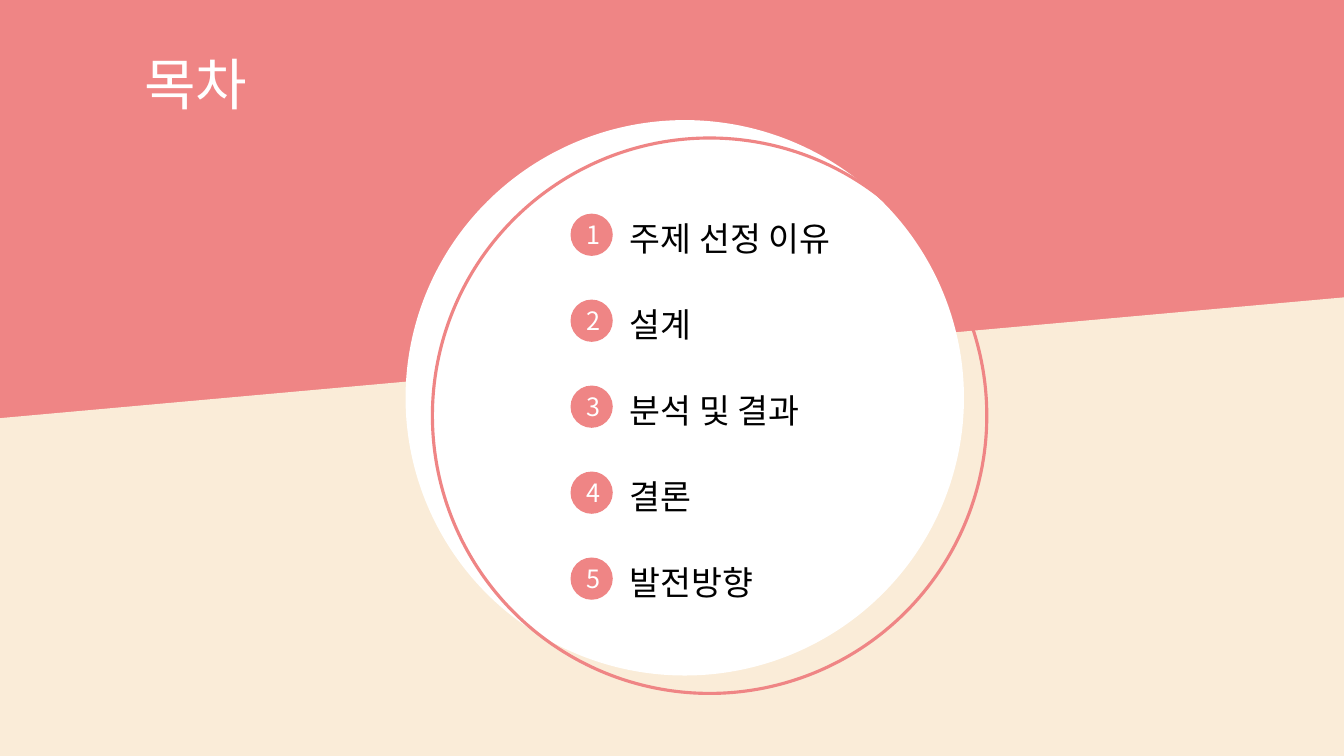
"""Build a contents slide with a numbered list inside a circle."""
import lxml.etree
import pptx
import pptx.dml.color
import pptx.enum.shapes
import pptx.enum.text
import pptx.oxml.ns
import pptx.util

Pt = pptx.util.Pt
RGBColor = pptx.dml.color.RGBColor
Align = pptx.enum.text.PP_ALIGN
Anchor = pptx.enum.text.MSO_ANCHOR
Fit = pptx.enum.text.MSO_AUTO_SIZE

CORAL = RGBColor(0xEF, 0x85, 0x85)
CREAM = RGBColor(0xFA, 0xEC, 0xD8)
WHITE = RGBColor(0xFF, 0xFF, 0xFF)
BLACK = RGBColor(0, 0, 0)
FONT = "Noto Sans CJK KR"
TOPICS = ["주제 선정 이유", "설계", "분석 및 결과", "결론", "발전방향"]
FIRST = 152.6
STEP = 61.4


def write(shape, text, size=24, color=BLACK, align=Align.LEFT,
          anchor=Anchor.TOP, pad=3.6, fit=Fit.SHAPE_TO_FIT_TEXT):
    """Put one formatted line of text in a shape."""
    frame = shape.text_frame
    frame.word_wrap = True
    frame.auto_size = fit
    frame.vertical_anchor = anchor
    frame.margin_left = frame.margin_right = Pt(7.2)
    frame.margin_top = frame.margin_bottom = Pt(pad)
    line = frame.paragraphs[0]
    line.alignment = align
    run = line.add_run()
    run.text = text
    run.font.size = Pt(size)
    run.font.color.rgb = color
    run.font.name = FONT
    props = run._r.get_or_add_rPr()
    east = lxml.etree.SubElement(props, pptx.oxml.ns.qn("a:ea"))
    east.set("typeface", FONT)


def add_label(slide, text, left, top, width, height, **style):
    """Add a text box with one line."""
    box = slide.shapes.add_textbox(Pt(left), Pt(top), Pt(width), Pt(height))
    write(box, text, **style)


def add_disc(shapes, left, top, width, height, fill=None, line=None):
    """Add an ellipse, either filled or outlined."""
    disc = shapes.add_shape(pptx.enum.shapes.MSO_SHAPE.OVAL,
                            Pt(left), Pt(top), Pt(width), Pt(height))
    disc.shadow.inherit = False
    if fill is None:
        disc.fill.background()
    else:
        disc.fill.solid()
        disc.fill.fore_color.rgb = fill
    if line is None:
        disc.line.fill.background()
    else:
        disc.line.color.rgb = line
        disc.line.width = Pt(2.25)
    return disc


def add_slope(slide):
    """Add the cream area with its slanted top edge."""
    pen = slide.shapes.build_freeform(Pt(-1.4), Pt(298.8))
    corners = [(960, 212.4), (961.2, 542.2), (-0.7, 542.2)]
    pen.add_line_segments([(Pt(x), Pt(y)) for x, y in corners], close=True)
    slope = pen.convert_to_shape()
    slope.shadow.inherit = False
    slope.fill.solid()
    slope.fill.fore_color.rgb = CREAM
    slope.line.fill.background()


def add_topic(slide, index, text):
    """Add a numbered badge and its topic."""
    top = FIRST + index * STEP
    badge = add_disc(slide.shapes, 407.5, top, 30.2, 30.2, fill=CORAL)
    write(badge, str(index + 1), size=18, color=WHITE, align=Align.CENTER,
          anchor=Anchor.MIDDLE, fit=Fit.NONE)
    add_label(slide, text, 442.8, top - 4.3, 770.4, 43.9, pad=7.2)


def main():
    """Build and save the slide."""
    deck = pptx.Presentation()
    deck.slide_width, deck.slide_height = Pt(960), Pt(540)
    slide = deck.slides.add_slide(deck.slide_layouts[6])
    slide.background.fill.solid()
    slide.background.fill.fore_color.rgb = CORAL
    add_slope(slide)
    rings = slide.shapes.add_group_shape().shapes
    add_disc(rings, 289.7, 85.8, 398.9, 396.7, fill=WHITE)
    add_disc(rings, 308.9, 98.6, 396, 396.7, line=CORAL)
    add_label(slide, "목차", 95.8, 31.7, 234, 55.4, size=40, color=WHITE)
    for index, text in enumerate(TOPICS):
        add_topic(slide, index, text)
    deck.save("out.pptx")


if __name__ == "__main__":
    main()
